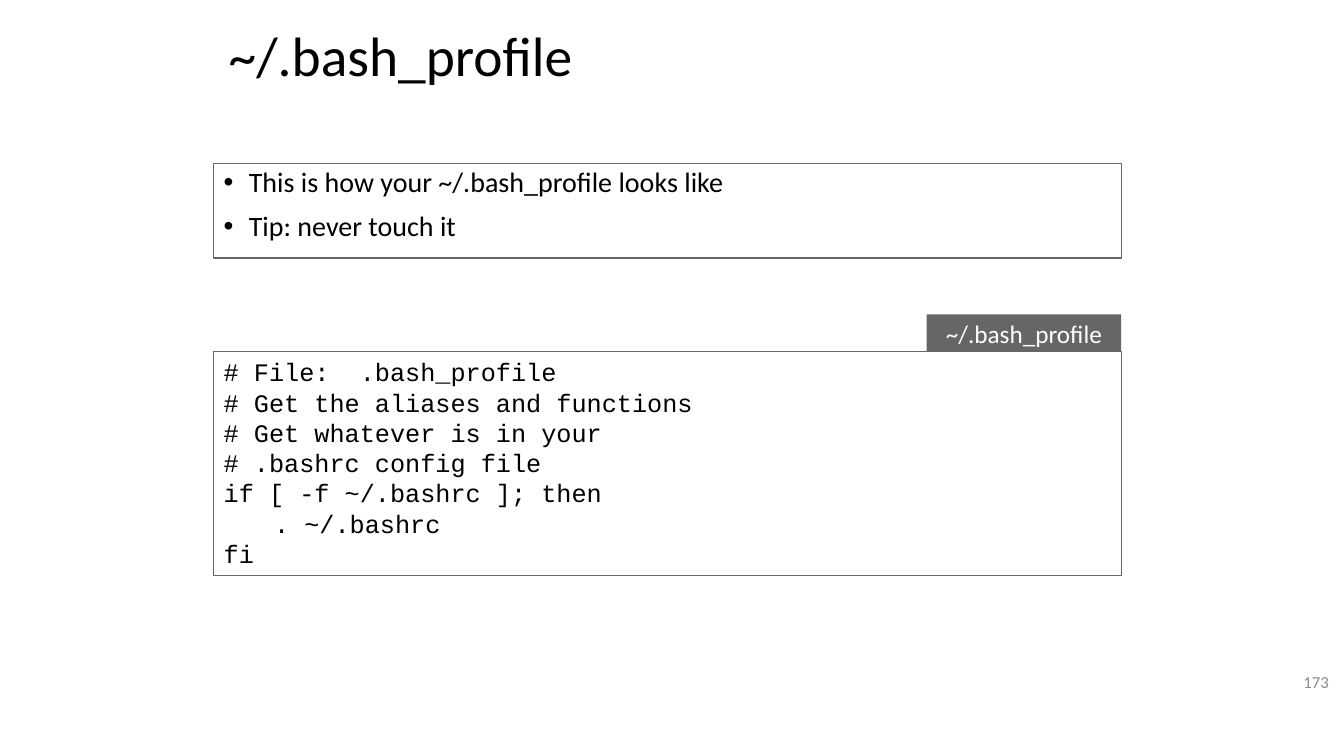
from lxml import etree
from pptx import Presentation
from pptx.dml.color import RGBColor
from pptx.enum.shapes import MSO_SHAPE
from pptx.enum.text import MSO_ANCHOR, PP_ALIGN
from pptx.oxml.ns import qn
from pptx.util import Inches, Pt

RECT = MSO_SHAPE.RECTANGLE
TOP, MIDDLE = MSO_ANCHOR.TOP, MSO_ANCHOR.MIDDLE
LEFT, CENTER, RIGHT = PP_ALIGN.LEFT, PP_ALIGN.CENTER, PP_ALIGN.RIGHT

BLACK = RGBColor(0x00, 0x00, 0x00)
WHITE = RGBColor(0xFF, 0xFF, 0xFF)
GRAY = RGBColor(0x66, 0x66, 0x66)
PAGE_GRAY = RGBColor(0x8C, 0x8C, 0x8C)

SANS, MONO = "Calibri", "Courier New"
FILE_NAME = "~/.bash_profile"
CELL = Inches(0.1)
BOX_LEFT, BOX_WIDTH = 21.2, 90
CODE_TOP, TAB_WIDTH, TAB_HEIGHT = 34.9, 19.3, 3.7

TIPS = ["This is how your ~/.bash_profile looks like", "Tip: never touch it"]
CODE = [
    "# File:  .bash_profile",
    "# Get the aliases and functions",
    "# Get whatever is in your",
    "# .bashrc config file",
    "if [ -f ~/.bashrc ]; then",
    "\t. ~/.bashrc",
    "fi",
]


class SlideBuilder:
    def __init__(self, slide):
        self.slide = slide

    def place(self, cells):
        return [round(CELL * n) for n in cells]

    def fill_text(self, s, lines, size, color=BLACK, font=SANS, align=LEFT,
                  anchor=TOP, spacing=None):
        tf = s.text_frame
        tf.word_wrap = True
        tf.vertical_anchor = anchor
        tf.text = "\n".join(lines)
        for p in tf.paragraphs:
            p.alignment = align
            p.line_spacing = spacing
            for r in p.runs:
                r.font.name = font
                r.font.size = Pt(size)
                r.font.color.rgb = color
        return s

    def label(self, cells, line, size, **style):
        s = self.slide.shapes.add_textbox(*self.place(cells))
        return self.fill_text(s, [line], size, anchor=MIDDLE, **style)

    def box(self, cells, lines, size, fill=None, **style):
        s = self.slide.shapes.add_shape(RECT, *self.place(cells))
        s.shadow.inherit = False
        if fill is None:
            s.fill.background()
            s.line.color.rgb = GRAY
            s.line.width = Pt(0.75)
        else:
            s.fill.solid()
            s.fill.fore_color.rgb = fill
            s.line.fill.background()
        return self.fill_text(s, lines, size, **style)

    def bullets(self, cells, lines, size):
        s = self.box(cells, lines, size, spacing=0.9)
        for i, p in enumerate(s.text_frame.paragraphs):
            if i:
                p.space_before = Pt(10)
            props = p._p.get_or_add_pPr()
            props.set("marL", str(Inches(0.25)))
            props.set("indent", str(-Inches(0.25)))
            etree.SubElement(props, qn("a:buFont")).set("typeface", "Arial")
            etree.SubElement(props, qn("a:buChar")).set("char", "•")
        return s


def main():
    prs = Presentation()
    prs.slide_width, prs.slide_height = Inches(13.33), Inches(7.5)
    page = SlideBuilder(prs.slides.add_slide(prs.slide_layouts[6]))

    page.label((21.7, 2.1, 89.1, 7.5), FILE_NAME, 39.6, spacing=0.9)
    page.bullets((BOX_LEFT, 16.2, BOX_WIDTH, 9.4), TIPS, 20)
    page.box((BOX_LEFT, CODE_TOP, BOX_WIDTH, 22.2), CODE, 18, font=MONO)
    page.box((BOX_LEFT + BOX_WIDTH - TAB_WIDTH, CODE_TOP - TAB_HEIGHT,
              TAB_WIDTH, TAB_HEIGHT), [FILE_NAME], 18, fill=GRAY,
             color=WHITE, align=CENTER, anchor=MIDDLE)
    page.label((119.2, 66.1, 13.6, 3.1), "173", 12, color=PAGE_GRAY, align=RIGHT)

    prs.save("out.pptx")


if __name__ == "__main__":
    main()
